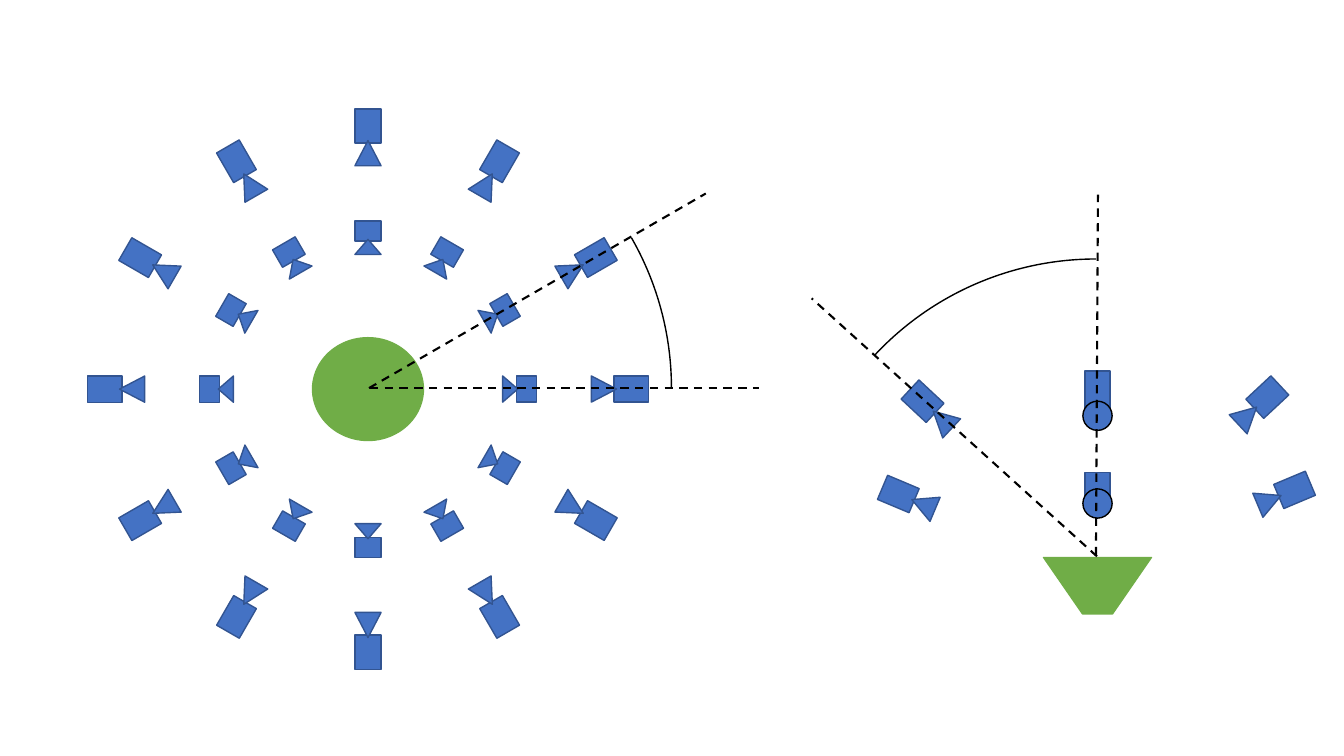
from math import cos, radians, sin

from lxml.etree import SubElement
from pptx import Presentation
from pptx.dml.color import RGBColor
from pptx.enum.dml import MSO_LINE
from pptx.enum.shapes import MSO_CONNECTOR, MSO_SHAPE
from pptx.oxml.ns import qn
from pptx.util import Inches, Pt

THEME = {
    "camera": RGBColor(0x44, 0x72, 0xC4),
    "camera_edge": RGBColor(0x32, 0x54, 0x91),
    "subject": RGBColor(0x70, 0xAD, 0x47),
    "ink": RGBColor(0, 0, 0),
    "outline": Pt(1),
    "axis": Pt(1.5),
}

# The slide is a grid of square cells, 75 rows high; all lengths are in cells
deck = Presentation()
deck.slide_width, deck.slide_height = Inches(13.33), Inches(7.5)
CELL = deck.slide_height / 75
slide = deck.slides.add_slide(deck.slide_layouts[6])


def draw(parent, preset, center, size, fill, edge, turn=0):
    """Add a preset shape around its center, turned clockwise in degrees."""
    (x, y), (width, height) = center, size
    box = (x - width / 2, y - height / 2, width, height)
    shape = parent.add_shape(preset, *(round(v * CELL) for v in box))
    shape.rotation = turn % 360
    shape.shadow.inherit = False
    if fill:
        shape.fill.solid()
        shape.fill.fore_color.rgb = THEME[fill]
    else:
        shape.fill.background()
    shape.line.color.rgb = THEME[edge]
    shape.line.width = THEME["outline"]
    return shape


def draw_camera(parent, center, angle, body_length=3.4, lens_depth=2.5, gap=2.7):
    """Add a camera body and, one gap nearer the subject, its lens."""
    x, y = center
    lens = (x - gap * cos(radians(angle)), y - gap * sin(radians(angle)))
    draw(parent, MSO_SHAPE.RECTANGLE, center, (body_length, 2.6),
         "camera", "camera_edge", angle)
    draw(parent, MSO_SHAPE.ISOSCELES_TRIANGLE, lens, (2.6, lens_depth),
         "camera", "camera_edge", angle + 90)


# Top view: subject inside two rings of twelve cameras
hub_x, hub_y = 36.5, 38.6
draw(slide.shapes, MSO_SHAPE.OVAL, (hub_x, hub_y), (11, 10.2), "subject", "subject")
for radius, body_length, lens_depth, gap in ((26.1, 3.4, 2.5, 2.7), (15.7, 2, 1.5, 1.6)):
    ring = slide.shapes.add_group_shape().shapes
    for angle in range(0, 360, 30):
        spot = (hub_x + radius * cos(radians(angle)),
                hub_y + radius * sin(radians(angle)))
        draw_camera(ring, spot, angle, body_length, lens_depth, gap)

# Side view: subject, cameras on both sides, and cameras seen end-on
subject = draw(slide.shapes, MSO_SHAPE.TRAPEZOID, (108.85, 58.1), (10.7, 5.6),
               "subject", "subject", 180)
subject.adjustments[0] = 0.69
for x, y, angle in ((128.4, 48.6, -22.8), (89.1, 49, 202.8),
                    (125.7, 39.4, -43), (91.5, 39.8, 223)):
    draw_camera(slide.shapes.add_group_shape().shapes, (x, y), angle)

for top, height, lens_y in ((46.9, 3.5, 49.95), (36.8, 4.8, 41.25)):
    front_camera = slide.shapes.add_group_shape().shapes
    draw(front_camera, MSO_SHAPE.RECTANGLE, (108.85, top + height / 2), (2.5, height),
         "camera", "camera_edge")
    draw(front_camera, MSO_SHAPE.OVAL, (108.85, lens_y), (2.9, 2.9), "camera", "ink")

# Dashed axes that bound the two angles
for ends in ((36.7, 38.5, 75.3, 38.5), (36.6, 38.5, 70, 19.2),
             (108.7, 55.1, 108.9, 19.3), (108.8, 55.2, 80.5, 29.6)):
    axis = slide.shapes.add_connector(MSO_CONNECTOR.STRAIGHT,
                                      *(round(v * CELL) for v in ends))
    axis.line.color.rgb = THEME["ink"]
    axis.line.width = THEME["axis"]
    axis.line.dash_style = MSO_LINE.DASH
    SubElement(axis.element.spPr, qn("a:effectLst"))

# Arcs between the axes; an arc adjustment is 0.6 per degree
for center, start, end in (((36.6, 38.5), 330.21, 0), ((108.7, 55.7), 222.93, 270.06)):
    arc = draw(slide.shapes, MSO_SHAPE.ARC, center, (60, 60), None, "ink")
    arc.adjustments[0] = start * 0.6
    arc.adjustments[1] = end * 0.6

deck.save("out.pptx")
